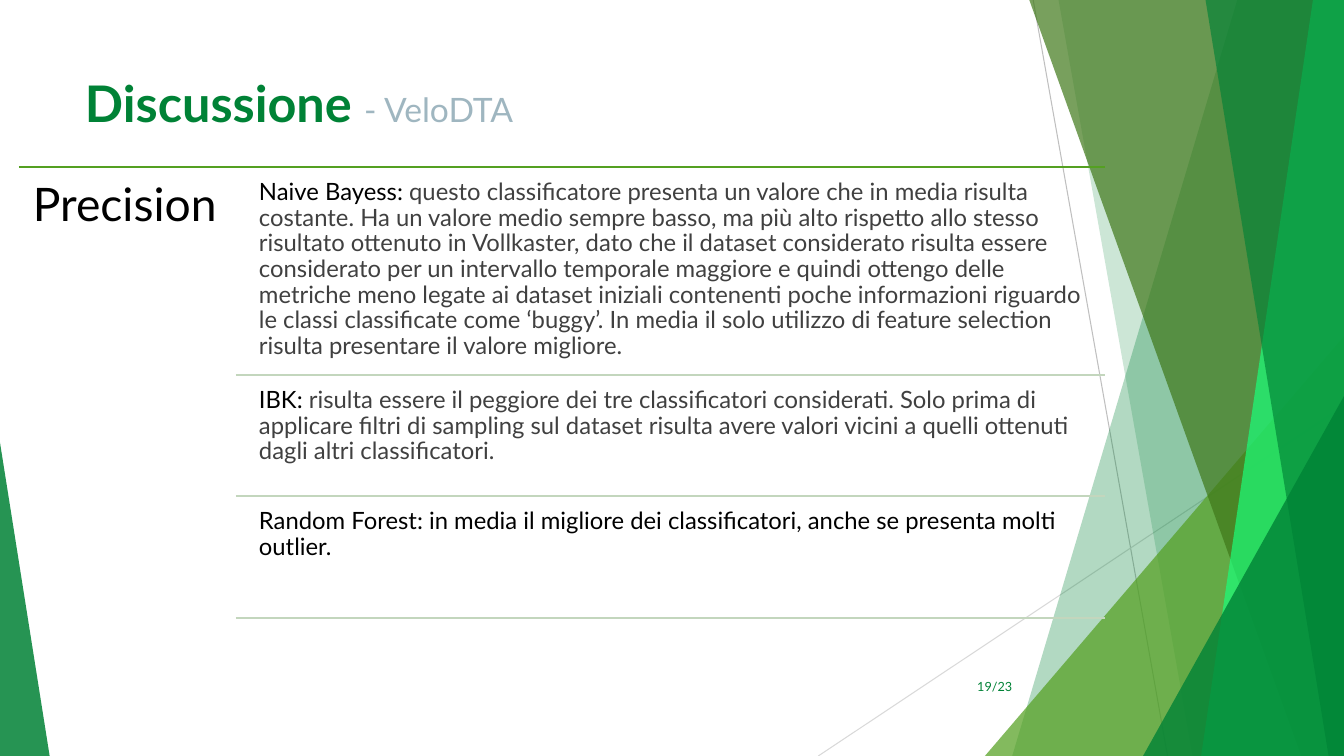
from lxml import etree
from pptx import Presentation
from pptx.dml.color import RGBColor
from pptx.enum.shapes import MSO_CONNECTOR as Connector, MSO_SHAPE as Preset
from pptx.enum.text import MSO_ANCHOR as Anchor, MSO_AUTO_SIZE as AutoSize, PP_ALIGN as Align
from pptx.oxml.ns import qn
from pptx.util import Pt

WHITE = RGBColor(0xFF, 0xFF, 0xFF)
BLACK = RGBColor(0x00, 0x00, 0x00)
DARK_GREY = RGBColor(0x40, 0x40, 0x40)
MID_GREY = RGBColor(0xBF, 0xBF, 0xBF)
LIGHT_GREY = RGBColor(0xD9, 0xD9, 0xD9)
BLUE_GREY = RGBColor(0x9F, 0xB6, 0xC0)
GREEN = RGBColor(0x00, 0x82, 0x36)
LEAF = RGBColor(0x54, 0xA0, 0x21)
OLIVE = RGBColor(0x3F, 0x78, 0x19)
NEON = RGBColor(0x1B, 0xFF, 0x7A)
PALE_GREEN = RGBColor(0xC3, 0xD6, 0xBD)

WIDTH, HEIGHT = 960, 540
RULE_TOP, RULE_LEFT, RULE_RIGHT = 119.5, 13.5, 789
ROW_RULE_LEFT, ROW_LEFT, ROW_GAP = 168.5, 180, 4

ROWS = [
    (268, [("Naive Bayess: ", BLACK),
           ("questo classificatore presenta un valore che in media risulta costante. "
            "Ha un valore medio sempre basso, ma più alto rispetto allo stesso risultato "
            "ottenuto in Vollkaster, dato che il dataset considerato risulta essere "
            "considerato per un intervallo temporale maggiore e quindi ottengo delle "
            "metriche meno legate ai dataset iniziali contenenti poche informazioni "
            "riguardo le classi classificate come ‘buggy’. In media il solo utilizzo di "
            "feature selection risulta presentare il valore migliore.", DARK_GREY)]),
    (354.5, [("IBK: ", BLACK),
             ("risulta essere il peggiore dei tre classificatori considerati. Solo prima "
              "di applicare filtri di sampling sul dataset risulta avere valori vicini a "
              "quelli ottenuti dagli altri classificatori.", DARK_GREY)]),
    (441.5, [("Random Forest: in media il migliore dei classificatori, anche se presenta "
              "molti outlier.", BLACK)]),
]


class SlideBuilder:
    font_name = "Lato"

    def __init__(self, presentation):
        self.slide = presentation.slides.add_slide(presentation.slide_layouts[5])
        self.shapes = self.slide.shapes
        fill = self.slide.background.fill
        fill.solid()
        fill.fore_color.rgb = WHITE

    def line(self, x1, y1, x2, y2, color, width):
        line = self.shapes.add_connector(
            Connector.STRAIGHT, Pt(x1), Pt(y1), Pt(x2), Pt(y2))
        line.line.color.rgb = color
        line.line.width = Pt(width)
        etree.SubElement(line.element.spPr, qn("a:effectLst"))

    def tint(self, shape, color, opacity):
        """Fill a shape with a see-through colour; opacity is in percent."""
        shape.shadow.inherit = False
        shape.line.fill.background()
        shape.fill.solid()
        shape.fill.fore_color.rgb = color
        color_node = shape.element.spPr.find(qn("a:solidFill"))[0]
        etree.SubElement(color_node, qn("a:alpha"), val=str(opacity * 1000))

    def band(self, top_x, bottom_x, color, opacity):
        """Fill from a slanted left edge to the right side of the slide."""
        top = -0.7
        builder = self.shapes.build_freeform(Pt(top_x), Pt(top), scale=1.0)
        corners = [(WIDTH, top), (WIDTH, HEIGHT), (bottom_x, HEIGHT)]
        builder.add_line_segments([(Pt(x), Pt(y)) for x, y in corners], close=True)
        self.tint(builder.convert_to_shape(), color, opacity)

    def triangle(self, left, top, width, apex, color, opacity):
        """Stand a triangle on the bottom edge; apex 0 is left and 1 is right."""
        shape = self.shapes.add_shape(
            Preset.ISOSCELES_TRIANGLE, Pt(left), Pt(top), Pt(width), Pt(HEIGHT - top))
        shape.adjustments[0] = apex
        self.tint(shape, color, opacity)

    def title(self, left, top, width, height, runs):
        title = self.shapes.title
        title.left, title.top, title.width, title.height = map(
            Pt, (left, top, width, height))
        tree = title.element.getparent()
        tree.append(title.element)
        frame = title.text_frame
        frame.auto_size = AutoSize.NONE
        frame.vertical_anchor = Anchor.TOP
        paragraph = frame.paragraphs[0]
        paragraph.alignment = Align.LEFT
        paragraph.space_after = Pt(6)
        paragraph.font.name = self.font_name
        for text, size, color, bold in runs:
            run = paragraph.add_run()
            run.text = text
            run.font.size = Pt(size)
            run.font.color.rgb = color
            run.font.bold = bold

    def text(self, left, top, width, height, runs, size, inset,
             spacing=0.9, align=Align.LEFT, anchor=Anchor.TOP):
        box = self.shapes.add_textbox(Pt(left), Pt(top), Pt(width), Pt(height))
        frame = box.text_frame
        frame.word_wrap = True
        frame.vertical_anchor = anchor
        frame.margin_left = frame.margin_right = Pt(inset)
        frame.margin_top = frame.margin_bottom = Pt(inset)
        paragraph = frame.paragraphs[0]
        paragraph.alignment = align
        paragraph.line_spacing = spacing
        paragraph.font.name = self.font_name
        paragraph.font.size = Pt(size)
        for text, color in runs:
            run = paragraph.add_run()
            run.text = text
            run.font.color.rgb = color


def draw_backdrop(builder):
    builder.line(738, 0, 834, HEIGHT, MID_GREY, 0.75)
    builder.line(WIDTH, 290, 584.5, HEIGHT, LIGHT_GREY, 0.75)
    builder.band(884, 723, GREEN, 30)
    builder.band(756, 852, GREEN, 20)
    builder.triangle(703.5, 240, 256.5, 1, LEAF, 72)
    builder.band(735, 929.5, OLIVE, 70)
    builder.band(938, 858, NEON, 70)
    builder.band(861, 949, GREEN, 65)
    builder.triangle(816.5, 283, 143.5, 1, GREEN, 80)
    builder.triangle(0, 316, 35.5, 0, GREEN, 85)


def draw_rows(builder):
    builder.line(RULE_LEFT, RULE_TOP, RULE_RIGHT, RULE_TOP, LEAF, 1.5)
    builder.text(RULE_LEFT, RULE_TOP, 155, 326, [("Precision", BLACK)], 33, 10)
    previous = RULE_TOP
    for bottom, runs in ROWS:
        top = previous + ROW_GAP
        builder.text(ROW_LEFT, top, RULE_RIGHT - ROW_LEFT, bottom - top, runs, 17, 5)
        builder.line(ROW_RULE_LEFT, bottom, RULE_RIGHT, bottom, PALE_GREEN, 1.5)
        previous = bottom


def main():
    presentation = Presentation()
    presentation.slide_width, presentation.slide_height = Pt(WIDTH), Pt(HEIGHT)
    builder = SlideBuilder(presentation)
    draw_backdrop(builder)
    builder.title(53.5, 48, 677, 104, [("Discussione ", 36, GREEN, True),
                                       ("- VeloDTA", 24, BLUE_GREY, False)])
    builder.text(676, 476, 54, 29, [("19/23", GREEN)], 9, 7.2,
                 spacing=1.0, align=Align.RIGHT, anchor=Anchor.MIDDLE)
    draw_rows(builder)
    presentation.save("out.pptx")


if __name__ == "__main__":
    main()
